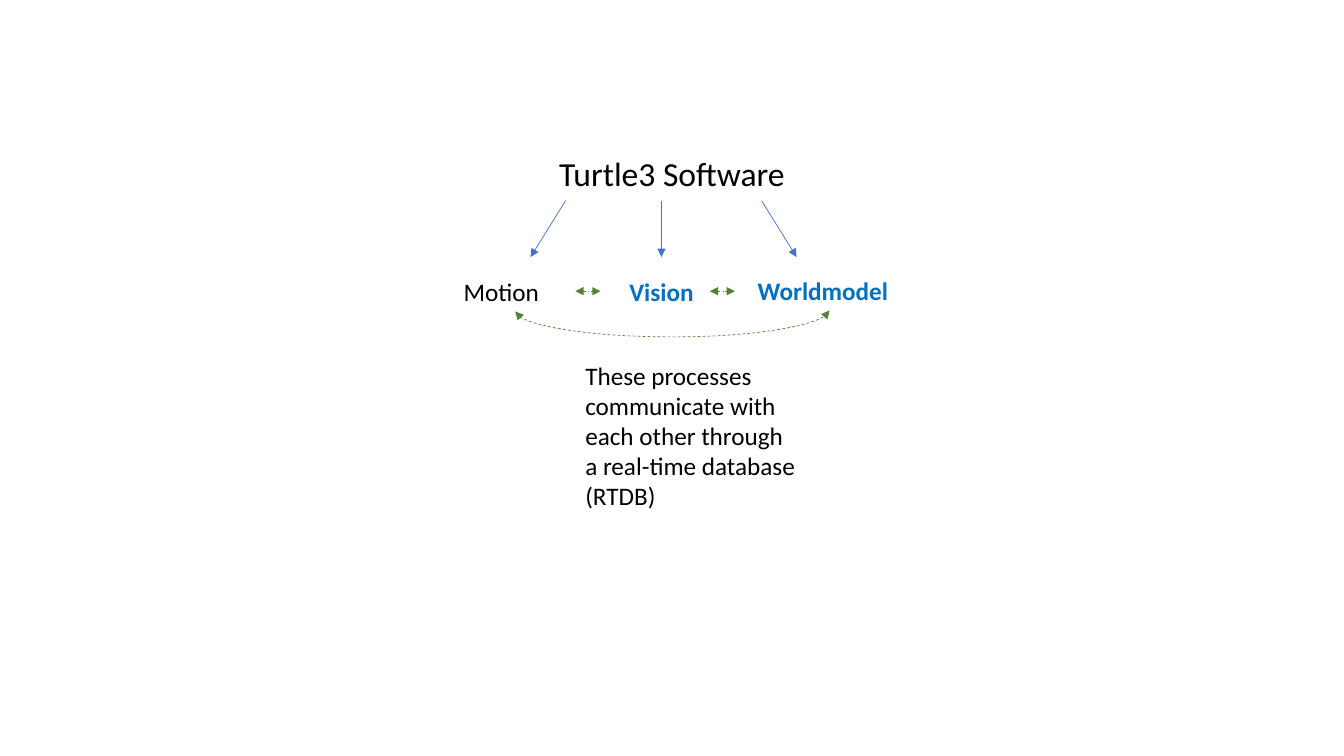
"""Build the Turtle3 software process slide."""
from lxml.etree import SubElement
from pptx import Presentation
from pptx.dml.color import RGBColor
from pptx.enum.dml import MSO_LINE
from pptx.enum.shapes import MSO_CONNECTOR
from pptx.enum.text import MSO_ANCHOR, MSO_AUTO_SIZE, PP_ALIGN
from pptx.oxml.ns import qn
from pptx.util import Pt

COLORS = {"text": "000000", "highlight": "0070C0", "branch": "4472C4", "exchange": "548235"}


def add_text(paragraph, text, size, color, bold=False):
    run = paragraph.add_run()
    run.text = text
    run.font.name = "Calibri"
    run.font.size = Pt(size)
    run.font.bold = bold
    run.font.color.rgb = RGBColor.from_string(COLORS[color])


def add_arrow(kind, start, end, color, ends, dash=None):
    points = [Pt(value) for value in (*start, *end)]
    arrow = slide.shapes.add_connector(kind, *points)
    arrow.line.width = Pt(0.5)
    arrow.line.color.rgb = RGBColor.from_string(COLORS[color])
    if dash:
        arrow.line.dash_style = dash
    properties = arrow._element.spPr
    for end_name in ends:
        SubElement(properties.find(qn("a:ln")), qn(f"a:{end_name}"), type="triangle")
    SubElement(properties, qn("a:effectLst"))
    return arrow


presentation = Presentation()
presentation.slide_width = Pt(960)
presentation.slide_height = Pt(540)
slide = presentation.slides.add_slide(presentation.slide_layouts[0])
title = slide.shapes.title
title._element.getparent().remove(title._element)

heading = slide.placeholders[1]
heading.left, heading.top, heading.width, heading.height = Pt(120), Pt(109), Pt(720), Pt(356)
heading.text_frame.auto_size = MSO_AUTO_SIZE.NONE
heading.text_frame.vertical_anchor = MSO_ANCHOR.TOP
paragraph = heading.text_frame.paragraphs[0]
paragraph.alignment = PP_ALIGN.CENTER
paragraph.line_spacing = 0.9
paragraph.space_before = Pt(10)
add_text(paragraph, "Turtle3 Software", 24, "text")

for start_x, end_x in ((472.5, 472.5), (404, 379), (544, 569)):
    add_arrow(MSO_CONNECTOR.STRAIGHT, (start_x, 143.3), (end_x, 183.6), "branch", ["tailEnd"])

labels = [
    ("Motion", 324, 193.7, 87, 29, "text", False, PP_ALIGN.LEFT),
    ("Vision", 429, 193.7, 87, 29, "highlight", True, PP_ALIGN.CENTER),
    ("Worldmodel", 534.2, 193, 117, 29, "highlight", True, PP_ALIGN.LEFT),
    ("These processes communicate with each other through a real-time database (RTDB)",
     411, 253.5, 164, 117, "text", False, PP_ALIGN.LEFT),
]
for text, left, top, width, height, color, bold, alignment in labels:
    label = slide.shapes.add_textbox(Pt(left), Pt(top), Pt(width), Pt(height))
    label.text_frame.word_wrap = True
    label.text_frame.auto_size = MSO_AUTO_SIZE.SHAPE_TO_FIT_TEXT
    paragraph = label.text_frame.paragraphs[0]
    paragraph.alignment = alignment
    add_text(paragraph, text, 18, color, bold)

both_ends = ["headEnd", "tailEnd"]
for left in (411, 507):
    add_arrow(MSO_CONNECTOR.STRAIGHT, (left, 208), (left + 18, 208), "exchange", both_ends,
              MSO_LINE.DASH_DOT)

curve = add_arrow(MSO_CONNECTOR.CURVE, (479.9, 109.8), (480.6, 334.4), "exchange", both_ends,
                  MSO_LINE.DASH)
transform = curve._element.spPr.find(qn("a:xfrm"))
for name, value in (("rot", "5400000"), ("flipH", "1"), ("flipV", "1")):
    transform.set(name, value)
adjustments = curve._element.spPr.find(qn("a:prstGeom")).find(qn("a:avLst"))
SubElement(adjustments, qn("a:gd"), name="adj1", fmla="val -2570000")

presentation.save("out.pptx")
